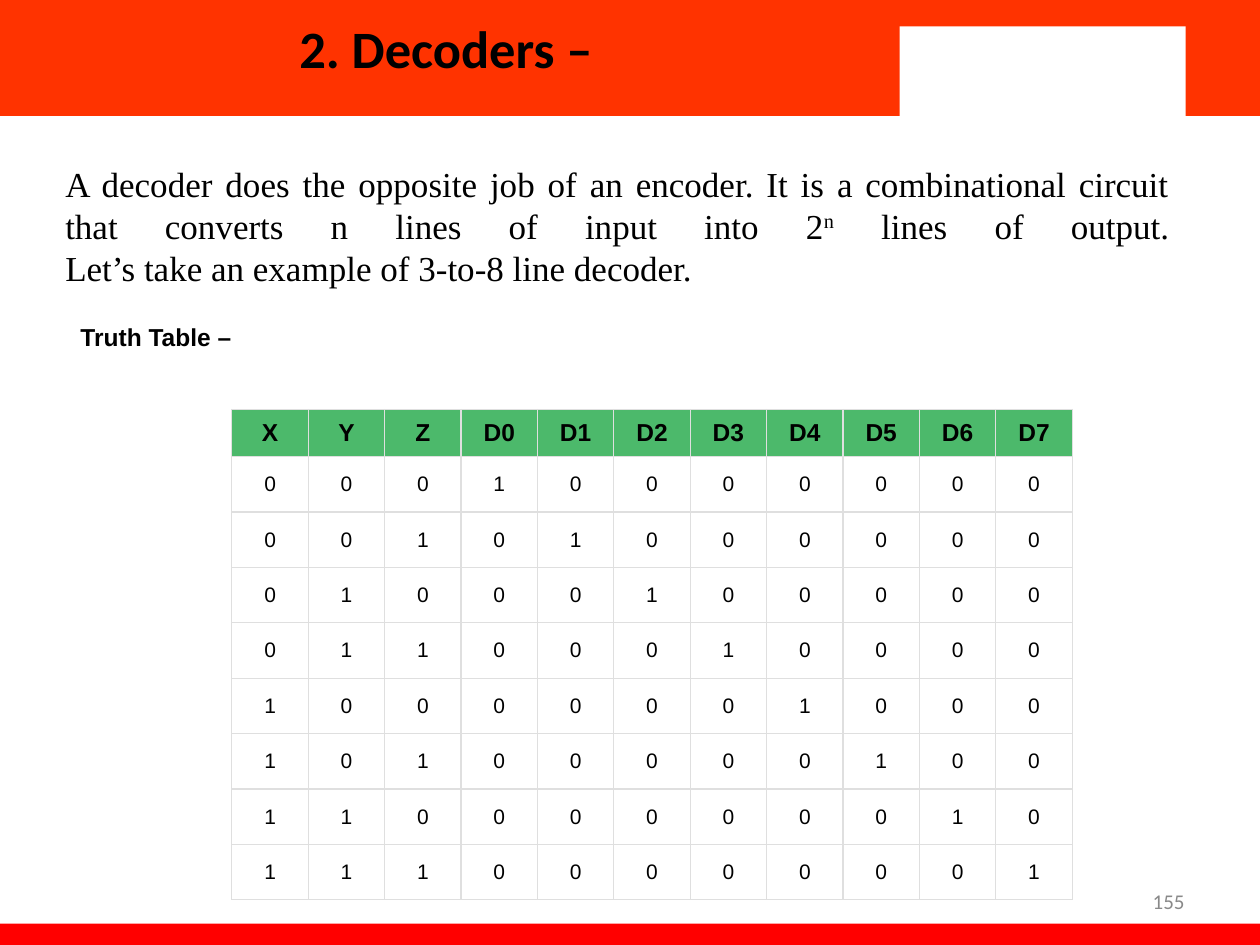
from lxml.etree import SubElement
from pptx import Presentation
from pptx.dml.color import RGBColor
from pptx.enum.shapes import MSO_SHAPE
from pptx.enum.text import MSO_ANCHOR, PP_ALIGN
from pptx.oxml.ns import qn
from pptx.util import Inches, Pt

INPUTS = ["X", "Y", "Z"]
OUTPUT_COUNT = 2 ** len(INPUTS)


def color(value):
    return RGBColor.from_string(value)


def place(shape, *bounds):
    shape.left, shape.top, shape.width, shape.height = map(Inches, bounds)


def style(para, font, size, fill="000000", bold=False, align=PP_ALIGN.LEFT):
    para.alignment = align
    para.font.name = font
    para.font.size = Pt(size)
    para.font.bold = bold
    para.font.color.rgb = color(fill)


def add_band(page, bounds, fill):
    band = page.shapes.add_shape(MSO_SHAPE.RECTANGLE, *map(Inches, bounds))
    band.shadow.inherit = False
    band.fill.solid()
    band.fill.fore_color.rgb = color(fill)
    band.line.fill.background()


def set_title(page, text):
    title = page.shapes.title
    page.shapes.element.append(title.element)  # bring in front of the bands
    place(title, 0, 0.17, 7.08, 0.92)
    title.text_frame.vertical_anchor = MSO_ANCHOR.MIDDLE
    para = title.text_frame.paragraphs[0]
    para.add_run().text = text
    para.add_line_break()
    style(para, "Calibri", 30, bold=True, align=PP_ALIGN.CENTER)
    para.runs[0].font.size = Pt(30)


def add_text(page, bounds, text, anchor=MSO_ANCHOR.TOP, **look):
    """Add a wrapped text box and return its paragraph."""
    box = page.shapes.add_textbox(*map(Inches, bounds))
    box.text_frame.word_wrap = True
    box.text_frame.vertical_anchor = anchor
    para = box.text_frame.paragraphs[0]
    para.add_run().text = text
    style(para, **look)
    return para


def add_description(page):
    para = add_text(
        page, (0.42, 1.24, 8.96, 1.11),
        "A decoder does the opposite job of an encoder. It is a combinational "
        "circuit that converts n lines of input into 2",
        font="Times New Roman", size=20, align=PP_ALIGN.JUSTIFY)
    exponent = para.add_run()
    exponent.text = "n"
    exponent.font._element.set("baseline", "30000")
    para.add_run().text = " lines of output."
    para.add_line_break()
    para.add_run().text = "Let’s take an example of 3-to-8 line decoder."


def set_borders(cell, line_color, width):
    properties = cell._tc.get_or_add_tcPr()
    for position, side in enumerate(("a:lnL", "a:lnR", "a:lnT", "a:lnB")):
        line = SubElement(properties, qn(side), w=str(Pt(width)))
        fill = SubElement(line, qn("a:solidFill"))
        SubElement(fill, qn("a:srgbClr"), val=line_color)
        properties.insert(position, line)


def fill_cell(cell, text, fill, margins, size, bold):
    cell.text = text
    cell.vertical_anchor = MSO_ANCHOR.MIDDLE
    cell.margin_left = cell.margin_right = Inches(margins[0])
    cell.margin_top = cell.margin_bottom = Inches(margins[1])
    cell.fill.solid()
    cell.fill.fore_color.rgb = color(fill)
    style(cell.text_frame.paragraphs[0], "Arial", size, bold=bold,
          align=PP_ALIGN.CENTER)
    set_borders(cell, "DFDFDF", 0.75)


def truth_rows():
    """Yield the header, then each input code with its one active output."""
    yield INPUTS + [f"D{output}" for output in range(OUTPUT_COUNT)]
    for code in range(OUTPUT_COUNT):
        outputs = [str(int(output == code)) for output in range(OUTPUT_COUNT)]
        yield list(f"{code:0{len(INPUTS)}b}") + outputs


def add_truth_table(page):
    rows = list(truth_rows())
    bounds = map(Inches, (1.84, 3.25, 6.67, 3.9))
    table = page.shapes.add_table(len(rows), len(rows[0]), *bounds).table
    table.horz_banding = False
    for index, values in enumerate(rows):
        header = index == 0
        table.rows[index].height = Inches(0.37 if header else 0.44)
        for column, value in enumerate(values):
            fill_cell(table.cell(index, column), value,
                      fill="4CB96B" if header else "FFFFFF",
                      margins=(0.07, 0.07) if header else (0.08, 0.12),
                      size=14 if header else 12, bold=header)


def main():
    deck = Presentation()
    deck.slide_width, deck.slide_height = Inches(10), Inches(7.5)
    page = deck.slides.add_slide(deck.slide_layouts.get_by_name("Title Only"))

    add_band(page, (0, 0, 10, 0.92), "FF3300")
    add_band(page, (0, 7.33, 10, 0.22), "FF0000")
    add_band(page, (6.72, 0, 3.28, 0.92), "FF3300")
    add_band(page, (7.14, 0.21, 2.27, 0.75), "FFFFFF")

    set_title(page, "2. Decoders –")
    add_text(page, (7.17, 6.95, 2.33, 0.4), "155", anchor=MSO_ANCHOR.MIDDLE,
             font="Calibri", size=12, fill="898989", align=PP_ALIGN.RIGHT)
    add_description(page)
    add_text(page, (0.54, 2.51, 1.43, 0.34), "Truth Table –",
             font="Arial", size=14, bold=True)
    add_truth_table(page)

    deck.save("out.pptx")


if __name__ == "__main__":
    main()
